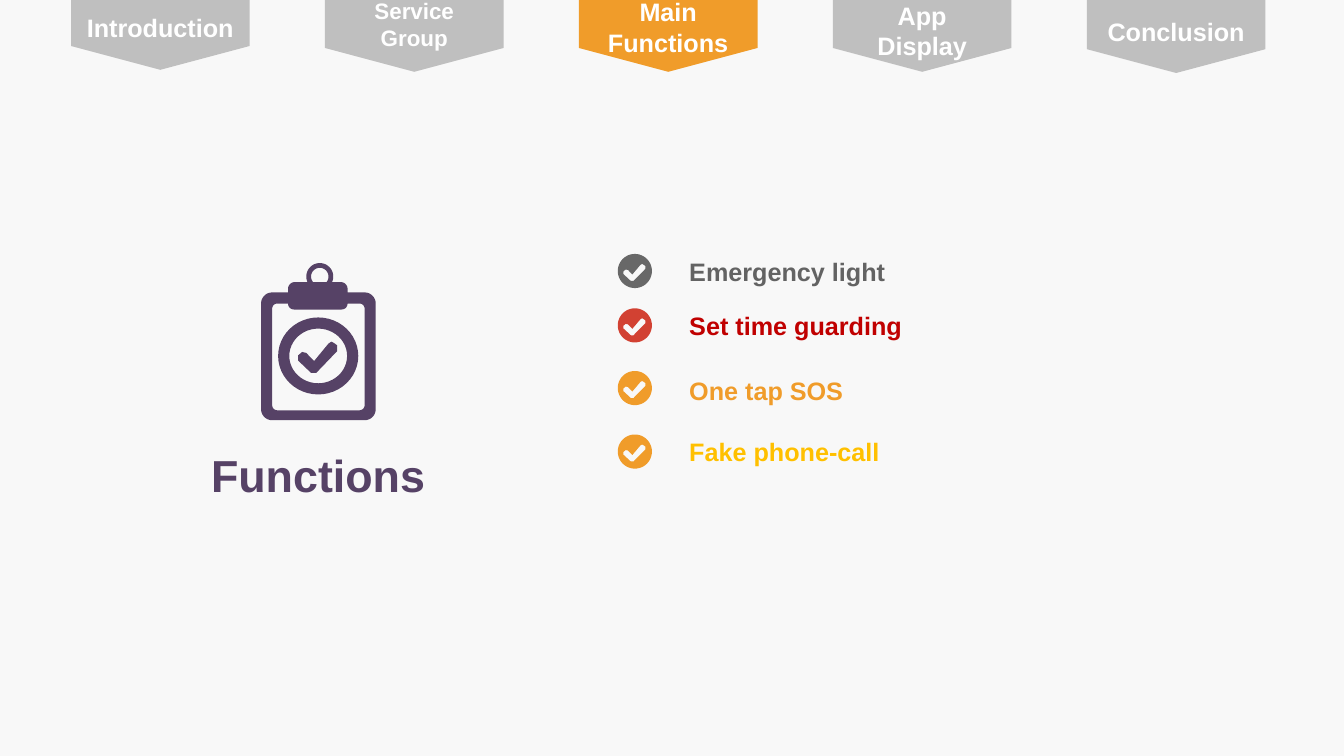
import math

from pptx import Presentation, util as u
from pptx.dml.color import RGBColor
from pptx.enum import shapes, text

COLORS = {
    "background": "F8F8F8", "white": "FFFFFF", "tab": "BFBFBF",
    "orange": "F09C2A", "purple": "564266", "gray": "686868",
    "gray_text": "636363", "red": "D24132", "red_text": "C00000",
    "yellow": "FFC000",
}

# Tick outline as fractions of its bounding box
TICK = [(.41, .62), (.22, .36), (.12, .33), (.02, .44), (.02, .6), (.34, 1),
        (.46, 1), (.97, .3), (.97, .12), (.9, .05), (.83, 0), (.76, .06)]

# Lines, centre y of the tab, top and width of the label
TABS = [
    (["Introduction"], .67, .3, 3.73, 18),
    (["Service", "Group"], .72, -.08, 2.18, 16),
    (["Main", "Functions"], .72, -.08, 3.07, 18),
    (["App", "Display"], .72, 0, 2.29, 18),
    (["Conclusion"], .75, .41, 3.48, 18),
]
ACTIVE_TAB = 2
TAB_LEFT, TAB_PITCH, TAB_WIDTH, TAB_HEIGHT = 4.04, 6.4, 4.5, 2.18

# Label, centre y of the badge, top of the label, badge colour, label colour
FEATURES = [
    ("Emergency light", 6.83, 6.45, "gray", "gray_text"),
    ("Set time guarding", 8.2, 7.82, "red", "red_text"),
    ("One tap SOS", 9.78, 9.45, "orange", "orange"),
    ("Fake phone-call", 11.38, 11, "orange", "yellow"),
]


def arc(cx, cy, radius, start, end, steps=12):
    """Points along an arc; degrees run clockwise from the right."""
    angles = (math.radians(start + (end - start) * i / steps)
              for i in range(steps + 1))
    return [(cx + radius * math.cos(a), cy + radius * math.sin(a))
            for a in angles]


def tick(left, top, width, height):
    return [(left + width * x, top + height * y) for x, y in TICK]


def write(tf, lines, size=18, color="white", align=text.PP_ALIGN.LEFT):
    for i, line in enumerate(lines):
        p = tf.paragraphs[0] if i == 0 else tf.add_paragraph()
        p.alignment = align
        r = p.add_run()
        r.text = line
        r.font.name = "Arial"
        r.font.size = u.Pt(size)
        r.font.bold = True
        r.font.color.rgb = RGBColor.from_string(COLORS[color])


class Deck:
    def __init__(self):
        self.prs = Presentation()
        self.prs.slide_width = u.Cm(33.87)
        self.prs.slide_height = u.Cm(19.05)
        self.slide = self.prs.slides.add_slide(self.prs.slide_layouts[6])
        self.paint(self.slide.background, "background")

    def paint(self, target, color):
        target.fill.solid()
        target.fill.fore_color.rgb = RGBColor.from_string(COLORS[color])

    def finish(self, sp, color):
        self.paint(sp, color)
        sp.line.fill.background()
        sp.shadow.inherit = False

    def shape(self, kind, box, color, adjustments, rotation=0):
        sp = self.slide.shapes.add_shape(kind, *map(u.Cm, box))
        sp.rotation = rotation
        for i, value in enumerate(adjustments):
            sp.adjustments[i] = value
        self.finish(sp, color)

    def outline(self, contours, color):
        """Draw closed contours as one shape; inner ones become holes."""
        first, *holes = [[(u.Cm(x), u.Cm(y)) for x, y in c] for c in contours]
        builder = self.slide.shapes.build_freeform(*first[0])
        builder.add_line_segments(first[1:], close=True)
        for hole in holes:
            builder.move_to(*hole[0])
            builder.add_line_segments(hole[1:], close=True)
        self.finish(builder.convert_to_shape(), color)

    def label(self, box, lines, wrap=True, **style):
        tf = self.slide.shapes.add_textbox(*map(u.Cm, box)).text_frame
        tf.word_wrap = wrap
        tf.margin_left = tf.margin_right = tf.margin_top = tf.margin_bottom = 0
        write(tf, lines, **style)

    def tab(self, index, lines, cy, top, width, size):
        cx = TAB_LEFT + index * TAB_PITCH
        box = (cx - TAB_HEIGHT / 2, cy - TAB_WIDTH / 2, TAB_HEIGHT, TAB_WIDTH)
        self.shape(shapes.MSO_SHAPE.RIGHT_ARROW, box,
                   "orange" if index == ACTIVE_TAB else "tab",
                   (1, .275), rotation=90)
        self.label((cx - width / 2, top, width, .77 * len(lines)), lines,
                   wrap=False, size=size, align=text.PP_ALIGN.CENTER)

    def feature(self, name, cy, top, badge, color):
        cx = 16
        self.outline([arc(cx, cy, .43, 0, 360, 48),
                      tick(cx - .3, cy - .18, .58, .43)], badge)
        self.label((17.37, top, 10.24, .77), [name], color=color)

    def clipboard(self):
        board = [
            *arc(6.86, 7.65, .28, 180, 270), (7.26, 7.37),
            *arc(7.43, 7.28, .17, 180, 270),
            *arc(8.06, 6.97, .34, 156, 384, 36),
            *arc(8.59, 7.28, .17, 270, 360), (8.76, 7.37),
            *arc(9.19, 7.65, .28, 270, 360),
            *arc(9.19, 10.31, .28, 0, 90),
            *arc(6.86, 10.31, .28, 90, 180),
        ]
        ring_hole = arc(8.06, 6.97, .22, 140, 400, 36)
        paper = [
            *arc(6.99, 7.78, .13, 180, 270),
            *arc(7.41, 7.65, .15, 180, 90),
            *arc(8.61, 7.65, .15, 90, 0),
            *arc(9.06, 7.78, .13, 270, 360),
            *arc(9.06, 10.21, .13, 0, 90),
            *arc(6.99, 10.21, .13, 90, 180),
        ]
        self.outline([board, ring_hole, paper], "purple")
        self.outline([tick(7.49, 8.61, 1.04, .79)], "purple")
        self.shape(shapes.MSO_SHAPE.DONUT, (7.01, 8, 2.02, 1.94), "purple",
                   (.145,))


def main():
    deck = Deck()
    for index, tab in enumerate(TABS):
        deck.tab(index, *tab)
    deck.clipboard()
    deck.label((5.3, 11.28, 5.44, 1.37), ["Functions"], wrap=False, size=32,
               color="purple", align=text.PP_ALIGN.CENTER)
    for feature in FEATURES:
        deck.feature(*feature)
    deck.prs.save("out.pptx")


if __name__ == "__main__":
    main()
